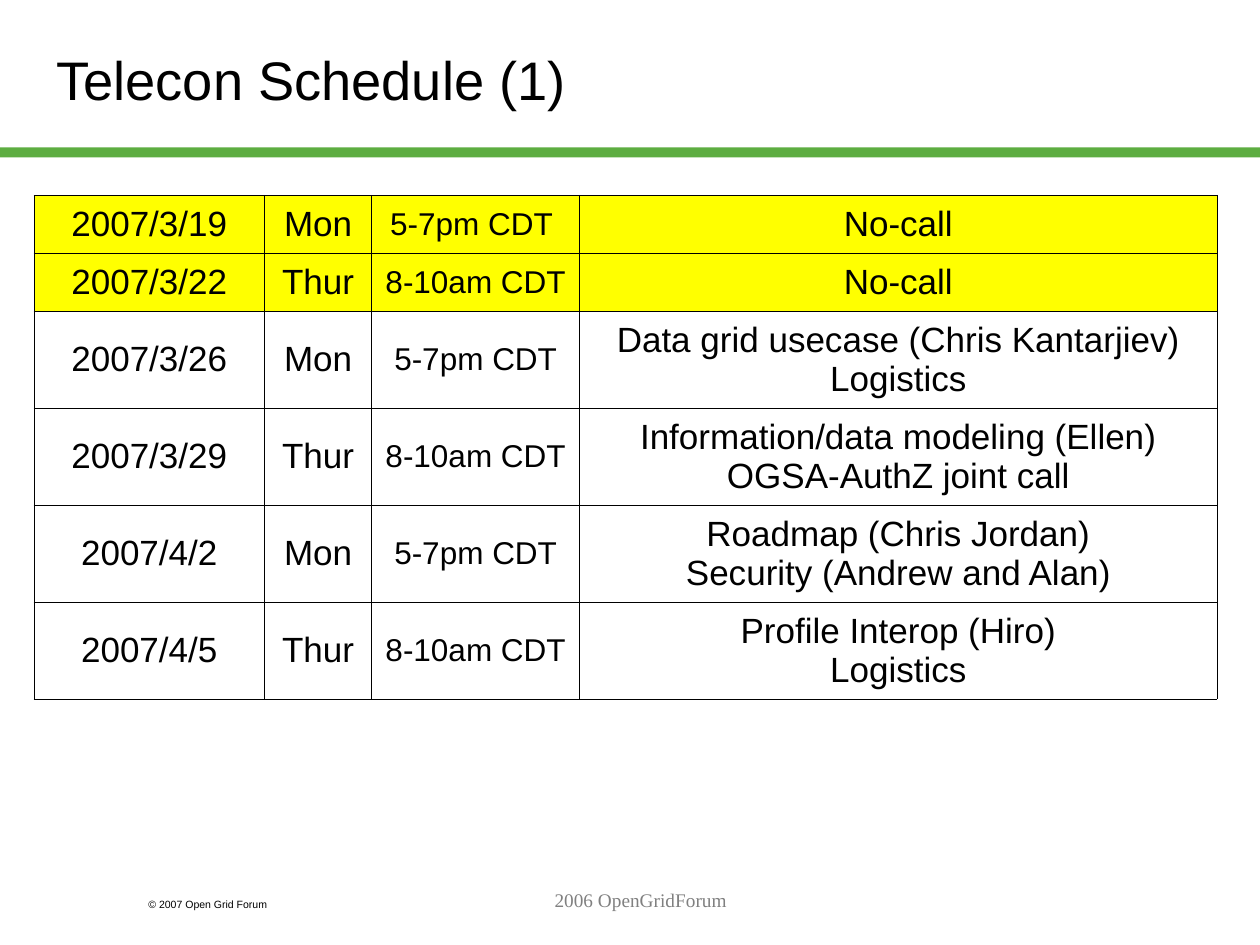
from dataclasses import dataclass

import pptx
import pptx.dml.color
import pptx.enum.shapes
import pptx.enum.text
import pptx.oxml
import pptx.oxml.ns
import pptx.util

Inches = pptx.util.Inches
Pt = pptx.util.Pt
ALIGN = pptx.enum.text.PP_ALIGN
ANCHOR = pptx.enum.text.MSO_ANCHOR

COLORS = {
    "rule": "5DAD41",
    "ink": "000000",
    "footer": "808080",
    "no_call": "FFFF00",
    "call": "FFFFFF",
}
COLUMN_WIDTHS = (1.83, 0.85, 1.65, 5.06)
COLUMN_SIZES = (20, 20, 18, 20)
ROW_HEIGHTS = {1: 0.46, 2: 0.77}
BORDER_WIDTH = Pt(0.45)


@dataclass
class Label:
    text: str
    box: tuple[float, float, float, float]
    size: int
    font: str = "Arial"
    color: str = "ink"
    align: ALIGN = ALIGN.LEFT
    anchor: ANCHOR = ANCHOR.TOP


@dataclass
class Telecon:
    date: str
    day: str
    time: str
    topics: str
    fill: str = "call"


LABELS = (
    Label("© 2007 Open Grid Forum", (1.08, 7.08, 1.5, 0.2), 6),
    Label("Telecon Schedule (1)", (0.35, 0.17, 8.9, 0.91), 31, anchor=ANCHOR.MIDDLE),
    Label("2006 OpenGridForum", (2.17, 7, 5.83, 0.5), 11,
          "Times New Roman", "footer", ALIGN.CENTER),
)
TELECONS = (
    Telecon("2007/3/19", "Mon", "5-7pm CDT ", "No-call", "no_call"),
    Telecon("2007/3/22", "Thur", "8-10am CDT", "No-call", "no_call"),
    Telecon("2007/3/26", "Mon", "5-7pm CDT",
            "Data grid usecase (Chris Kantarjiev)\nLogistics"),
    Telecon("2007/3/29", "Thur", "8-10am CDT",
            "Information/data modeling (Ellen)\nOGSA-AuthZ joint call"),
    Telecon("2007/4/2", "Mon", "5-7pm CDT",
            "Roadmap (Chris Jordan)\nSecurity (Andrew and Alan)"),
    Telecon("2007/4/5", "Thur", "8-10am CDT", "Profile Interop (Hiro)\nLogistics"),
)


def rgb(name: str) -> pptx.dml.color.RGBColor:
    return pptx.dml.color.RGBColor.from_string(COLORS[name])


def format_text(frame, size: int, font: str, color: str, align: ALIGN) -> None:
    font_values = {"size": Pt(size), "name": font}
    for paragraph in frame.paragraphs:
        paragraph.alignment = align
        for run in paragraph.runs:
            for attribute, value in font_values.items():
                setattr(run.font, attribute, value)
            run.font.color.rgb = rgb(color)


def draw_label(slide, label: Label) -> None:
    frame = slide.shapes.add_textbox(*map(Inches, label.box)).text_frame
    frame_values = {"word_wrap": True, "vertical_anchor": label.anchor, "text": label.text}
    for attribute, value in frame_values.items():
        setattr(frame, attribute, value)
    format_text(frame, label.size, label.font, label.color, label.align)


def draw_borders(cell) -> None:
    properties = cell._tc.get_or_add_tcPr()
    for position, side in enumerate(("lnL", "lnR", "lnT", "lnB")):
        border = pptx.oxml.parse_xml(
            f'<a:{side} {pptx.oxml.ns.nsdecls("a")} w="{BORDER_WIDTH}">'
            f'<a:solidFill><a:srgbClr val="{COLORS["ink"]}"/></a:solidFill></a:{side}>'
        )
        properties.insert(position, border)


def draw_schedule(slide, telecons: tuple[Telecon, ...]) -> None:
    heights = [ROW_HEIGHTS[len(telecon.topics.split("\n"))] for telecon in telecons]
    schedule = slide.shapes.add_table(
        len(telecons), len(COLUMN_WIDTHS), Inches(0.27), Inches(1.55),
        Inches(sum(COLUMN_WIDTHS)), Inches(sum(heights)),
    ).table
    for attribute, value in {"first_row": False, "horz_banding": False}.items():
        setattr(schedule, attribute, value)
    for column, width in zip(schedule.columns, COLUMN_WIDTHS):
        column.width = Inches(width)
    for row, height, telecon in zip(schedule.rows, heights, telecons):
        row.height = Inches(height)
        entries = (telecon.date, telecon.day, telecon.time, telecon.topics)
        for cell, entry, size in zip(row.cells, entries, COLUMN_SIZES):
            cell.text = entry
            cell.vertical_anchor = ANCHOR.MIDDLE
            cell.fill.solid()
            cell.fill.fore_color.rgb = rgb(telecon.fill)
            format_text(cell.text_frame, size, "Arial", "ink", ALIGN.CENTER)
            draw_borders(cell)


def draw_title_rule(slide) -> None:
    rule = slide.shapes.add_shape(
        pptx.enum.shapes.MSO_SHAPE.RECTANGLE,
        Inches(0), Inches(1.17), Inches(10), Inches(0.08),
    )
    rule.shadow.inherit = False
    rule.fill.solid()
    rule.fill.fore_color.rgb = rgb("rule")
    rule.line.fill.background()


def main() -> None:
    deck = pptx.Presentation()
    deck.slide_width, deck.slide_height = Inches(10), Inches(7.5)
    slide = deck.slides.add_slide(deck.slide_layouts[6])
    draw_title_rule(slide)
    for label in LABELS:
        draw_label(slide, label)
    draw_schedule(slide, TELECONS)
    deck.save("out.pptx")


if __name__ == "__main__":
    main()
